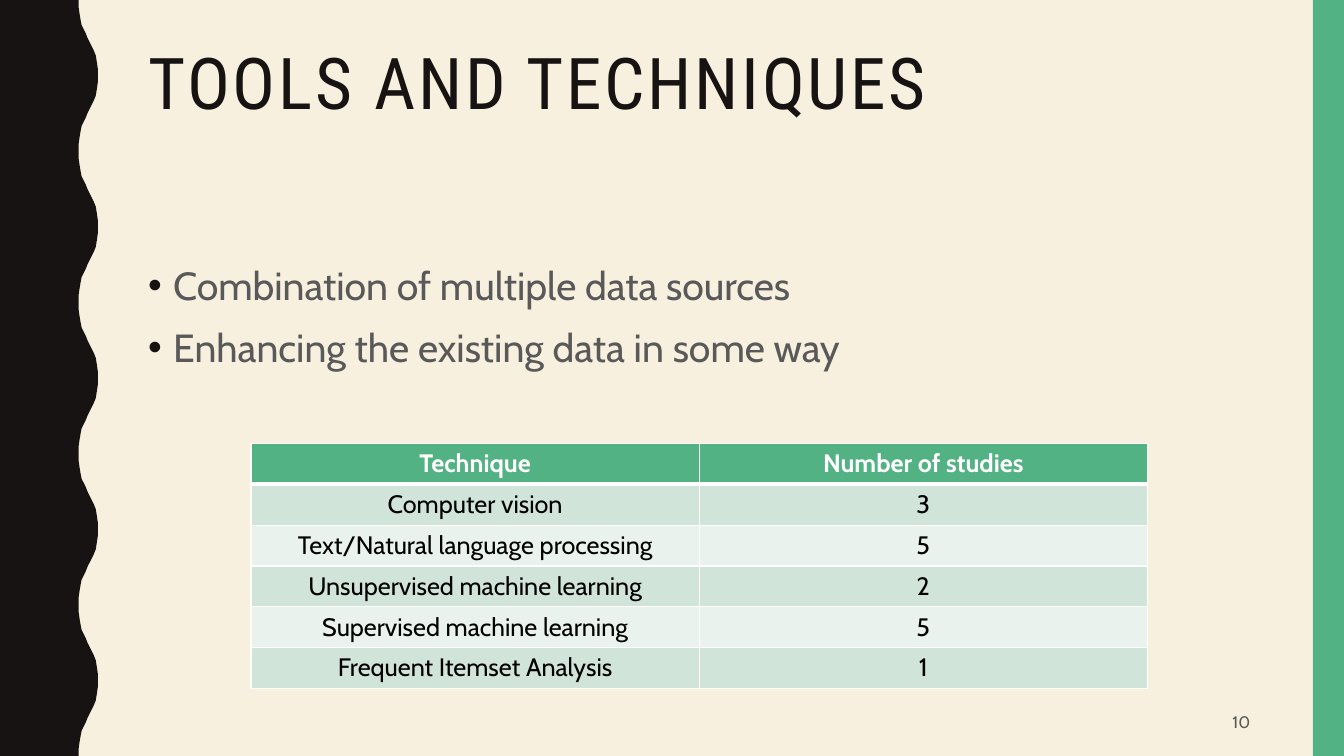
from lxml import etree
from pptx import Presentation, util as u
from pptx.dml.color import RGBColor
from pptx.enum import shapes, text
from pptx.oxml import ns

HEADING = "TOOLS AND TECHNIQUES"
POINTS = [
    "Combination of multiple data sources",
    "Enhancing the existing data in some way",
]
STUDIES = [
    ("Technique", "Number of studies"),
    ("Computer vision", "3"),
    ("Text/Natural language processing", "5"),
    ("Unsupervised machine learning", "2"),
    ("Supervised machine learning", "5"),
    ("Frequent Itemset Analysis", "1"),
]
PAGE = "10"

BODY_FONT, HEADING_FONT = "Cabin", "Roboto Condensed"
CREAM, INK, GREEN, GREY = "F7F0DF", "171312", "53B283", "595959"
WHITE, BLACK = "FFFFFF", "000000"
BANDS = ["E9F2ED", "D1E4D9"]

WIDTH, HEIGHT = 13.33, 7.5
LEFT, CONTENT_WIDTH = 1.37, 11.13
COLUMN, ROW = 4.445, 0.405
WAVE = 1.5
RISE = [(0.78, 0), (0.78, 0.07), (0.79, 0.14), (0.8, 0.2), (0.81, 0.25),
        (0.83, 0.29), (0.85, 0.33), (0.87, 0.38), (0.89, 0.42), (0.91, 0.46),
        (0.93, 0.5), (0.95, 0.55), (0.96, 0.61), (0.97, 0.68), (0.97, 0.75)]


def color(value):
    return RGBColor.from_string(value)


def paint(shape, value):
    shape.fill.solid()
    shape.fill.fore_color.rgb = color(value)
    shape.line.fill.background()
    shape.shadow.inherit = False


def add_run(paragraph, words, size, ink, font=BODY_FONT, bold=False):
    run = paragraph.add_run()
    run.text = words
    run.font.size = u.Pt(size)
    run.font.name = font
    run.font.bold = bold
    run.font.color.rgb = color(ink)
    return run


def add_frame(slide, left, top, width, height, anchor):
    frame = slide.shapes.add_textbox(*map(u.Inches, (left, top, width, height))).text_frame
    frame.word_wrap = True
    frame.vertical_anchor = anchor
    return frame


def add_wave(slide):
    crest = RISE + [(x, WAVE - y) for x, y in RISE[-2::-1]]
    edge = [(x, y + WAVE * n) for n in range(round(HEIGHT / WAVE)) for x, y in crest]
    outline = [(u.Inches(x), u.Inches(y)) for x, y in edge + [(0, HEIGHT)]]
    builder = slide.shapes.build_freeform(0, 0)
    builder.add_line_segments(outline, close=True)
    paint(builder.convert_to_shape(), INK)


def add_bullet(paragraph):
    properties = paragraph._p.get_or_add_pPr()
    properties.set("marL", str(u.Inches(0.25)))
    properties.set("indent", str(-u.Inches(0.25)))
    tint = etree.SubElement(properties, ns.qn("a:buClr"))
    etree.SubElement(tint, ns.qn("a:srgbClr"), val=INK)
    etree.SubElement(properties, ns.qn("a:buFont"), typeface="Arial")
    etree.SubElement(properties, ns.qn("a:buChar"), char="•")


def add_borders(cell, row):
    weights = {"lnL": 1, "lnR": 1, "lnT": 3 if row == 1 else 1, "lnB": 3 if row == 0 else 1}
    properties = cell._tc.get_or_add_tcPr()
    for place, (side, weight) in enumerate(weights.items()):
        border = etree.Element(ns.qn("a:" + side), w=str(u.Pt(weight)))
        fill = etree.SubElement(border, ns.qn("a:solidFill"))
        etree.SubElement(fill, ns.qn("a:srgbClr"), val=WHITE)
        properties.insert(place, border)


def add_studies(slide):
    size = (2.49, 4.4, COLUMN * 2, ROW * len(STUDIES))
    studies = slide.shapes.add_table(len(STUDIES), 2, *map(u.Inches, size)).table
    for row, values in enumerate(STUDIES):
        header = row == 0
        for column, value in enumerate(values):
            cell = studies.cell(row, column)
            cell.fill.solid()
            cell.fill.fore_color.rgb = color(GREEN if header else BANDS[row % 2])
            add_borders(cell, row)
            paragraph = cell.text_frame.paragraphs[0]
            paragraph.alignment = text.PP_ALIGN.CENTER
            add_run(paragraph, value, 18, WHITE if header else BLACK, bold=header)


def add_heading(slide):
    heading = slide.shapes.title
    heading.left, heading.top = u.Inches(LEFT), u.Inches(0.42)
    heading.width, heading.height = u.Inches(CONTENT_WIDTH), u.Inches(1.63)
    frame = heading.text_frame
    frame.auto_size = text.MSO_AUTO_SIZE.NONE
    frame.vertical_anchor = text.MSO_ANCHOR.TOP
    paragraph = frame.paragraphs[0]
    paragraph.alignment = text.PP_ALIGN.LEFT
    paragraph.line_spacing = 0.9
    run = add_run(paragraph, HEADING, 51, INK, HEADING_FONT)
    run.font._element.set("spc", "200")


def add_points(slide):
    frame = add_frame(slide, LEFT, 2.5, CONTENT_WIDTH, 2.12, text.MSO_ANCHOR.TOP)
    for number, point in enumerate(POINTS):
        paragraph = frame.add_paragraph() if number else frame.paragraphs[0]
        paragraph.line_spacing = 1.1
        paragraph.space_before = u.Pt(7)
        add_bullet(paragraph)
        add_run(paragraph, point, 28, GREY)


def main():
    deck = Presentation()
    deck.slide_width, deck.slide_height = u.Inches(WIDTH), u.Inches(HEIGHT)
    slide = deck.slides.add_slide(deck.slide_layouts[5])
    slide.background.fill.solid()
    slide.background.fill.fore_color.rgb = color(CREAM)

    add_wave(slide)
    band = (WIDTH - 0.31, 0, 0.31, HEIGHT)
    paint(slide.shapes.add_shape(shapes.MSO_SHAPE.RECTANGLE, *map(u.Inches, band)), GREEN)

    page = add_frame(slide, 9.42, 6.97, 3.08, 0.38, text.MSO_ANCHOR.MIDDLE).paragraphs[0]
    page.alignment = text.PP_ALIGN.RIGHT
    add_run(page, PAGE, 12, GREY)

    add_studies(slide)
    add_heading(slide)
    add_points(slide)
    deck.save("out.pptx")


if __name__ == "__main__":
    main()
